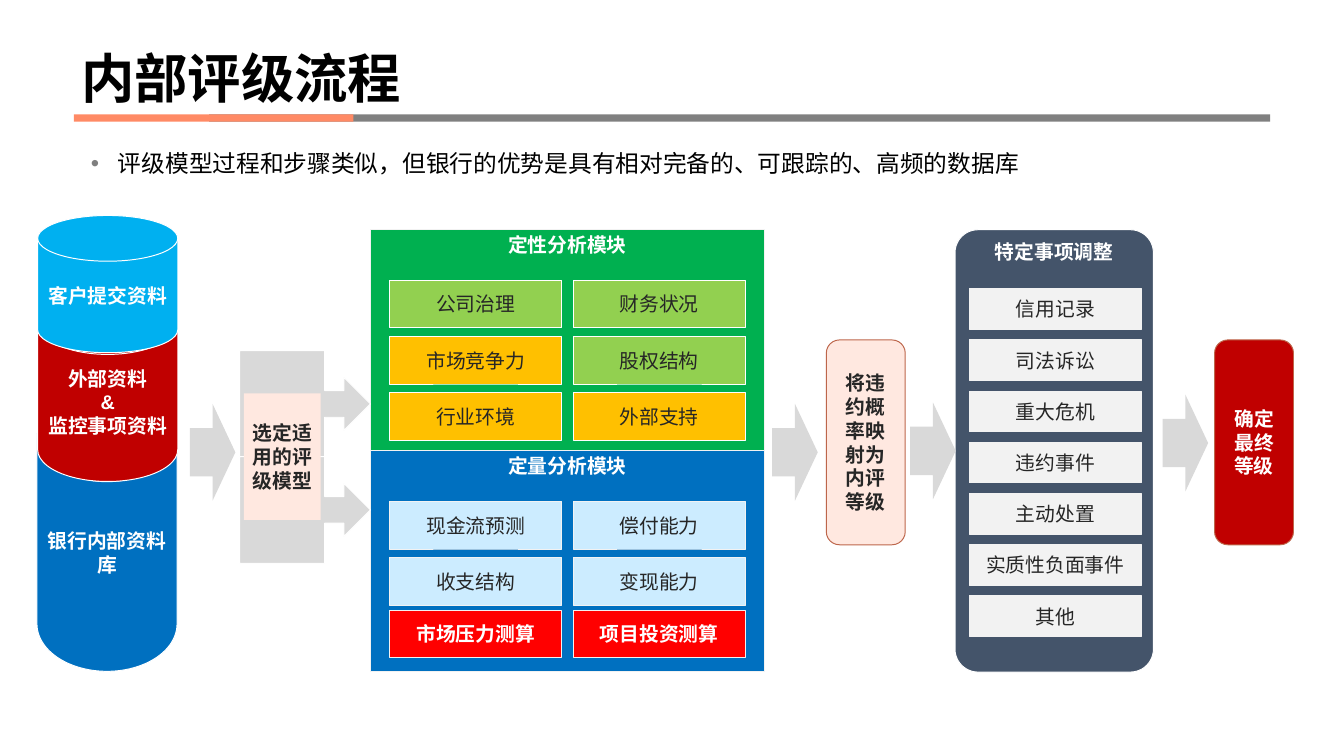
from lxml.etree import SubElement
from pptx import Presentation
from pptx.dml.color import RGBColor
from pptx.enum.shapes import MSO_SHAPE
from pptx.enum.text import MSO_ANCHOR, MSO_AUTO_SIZE, PP_ALIGN
from pptx.oxml.ns import qn
from pptx.util import Inches, Pt

COLORS = {
    "white": "FFFFFF", "black": "000000", "ink": "262626", "pale": "F2F2F2",
    "rule": "808080", "bullet": "7F7F7F", "coral": "FF8A65", "arrow": "D9D9D9",
    "blue": "0070C0", "sky": "00B0F0", "ice": "CCECFF", "dark_red": "C00000",
    "red": "FF0000", "green": "00B050", "lime": "92D050", "amber": "FFC000",
    "blush": "FFE8E0", "rust": "BD664B", "slate": "44546A",
}
CJK_FONT = "Noto Sans CJK SC"
TILE_WIDTH = 2.42


def rgb(color):
    return RGBColor.from_string(COLORS[color])


class FlowSlide:
    def __init__(self, slide):
        self.slide = slide
        self.label_font = {"size": Pt(20), "name": "Arial", "bold": True}
        self.heading_font = {"size": Pt(54), "name": CJK_FONT, "bold": True}
        self.body_font = {"size": Pt(24), "name": CJK_FONT, "bold": False}

    def set_text(self, frame, text, font, color, anchor=MSO_ANCHOR.MIDDLE,
                 align=PP_ALIGN.CENTER):
        frame_format = {"word_wrap": True, "auto_size": MSO_AUTO_SIZE.NONE,
                        "vertical_anchor": anchor}
        for key, value in frame_format.items():
            setattr(frame, key, value)
        frame.text = text
        for paragraph in frame.paragraphs:
            paragraph.alignment = align
            for run in paragraph.runs:
                for key, value in font.items():
                    setattr(run.font, key, value)
                run.font.color.rgb = rgb(color)
                SubElement(run._r.get_or_add_rPr(), qn("a:ea"), typeface=CJK_FONT)

    def title(self, text, box):
        heading = self.slide.shapes.title
        for key, value in zip(("left", "top", "width", "height"), box):
            setattr(heading, key, Inches(value))
        self.set_text(heading.text_frame, text, self.heading_font, "black",
                      MSO_ANCHOR.BOTTOM, PP_ALIGN.LEFT)
        heading.text_frame.paragraphs[0].line_spacing = 0.9

    def bullet(self, text, box):
        frame = self.slide.shapes.add_textbox(*map(Inches, box)).text_frame
        self.set_text(frame, text, self.body_font, "black",
                      MSO_ANCHOR.BOTTOM, PP_ALIGN.LEFT)
        properties = frame.paragraphs[0]._p.get_or_add_pPr()
        properties.set("marL", str(Inches(0.52)))
        properties.set("indent", str(Inches(-0.38)))
        bullet_color = SubElement(properties, qn("a:buClr"))
        SubElement(bullet_color, qn("a:srgbClr"), val=COLORS["bullet"])
        SubElement(properties, qn("a:buFont"), typeface="Arial")
        SubElement(properties, qn("a:buChar"), char="•")

    def block(self, box, fill, text="", line=None, kind=MSO_SHAPE.RECTANGLE,
              ink="white", bold=True, anchor=MSO_ANCHOR.MIDDLE):
        shape = self.slide.shapes.add_shape(kind, *map(Inches, box))
        shape.shadow.inherit = False
        shape.fill.solid()
        shape.fill.fore_color.rgb = rgb(fill)
        if line:
            shape.line.color.rgb = rgb(line)
            shape.line.width = Pt(1)
        else:
            shape.line.fill.background()
        if text:
            self.set_text(shape.text_frame, text, {**self.label_font, "bold": bold},
                          ink, anchor)
        return shape

    def disk(self, box, fill, text):
        self.block(box, fill, text, "white", MSO_SHAPE.FLOWCHART_MAGNETIC_DISK)

    def arrow(self, left, top):
        self.block((left, top, 0.64, 1.36), "arrow", kind=MSO_SHAPE.RIGHT_ARROW)

    def module(self, top, fill, text, tile_line, rows):
        """Draw a headed panel with rows of (top, ((text, fill), (text, fill)))."""
        self.block((5.21, top, 5.54, 3.11), fill, text, "pale", anchor=MSO_ANCHOR.TOP)
        for row_top, tiles in rows:
            for left, (label, tile_fill) in zip((5.48, 8.06), tiles):
                stressed = tile_fill == "red"
                self.block((left, row_top, TILE_WIDTH, 0.67), tile_fill, label,
                           tile_line, ink="white" if stressed else "ink",
                           bold=stressed)

    def adjustments(self, text, events):
        panel = self.block((13.43, 3.23, 2.79, 6.22), "slate", text, "white",
                           MSO_SHAPE.ROUNDED_RECTANGLE, anchor=MSO_ANCHOR.TOP)
        panel.adjustments[0] = 0.116
        for index, event in enumerate(events):
            self.block((13.63, 4.06 + 0.72 * index, TILE_WIDTH, 0.57), "pale",
                       event, "pale", ink="ink", bold=False)

    def stage(self, left, fill, text, ink):
        self.block((left, 4.78, 1.11, 2.88), fill, text, "rust",
                   MSO_SHAPE.ROUNDED_RECTANGLE, ink)


def main():
    deck = Presentation()
    deck.slide_width, deck.slide_height = Inches(18.9), Inches(10.63)
    flow = FlowSlide(deck.slides.add_slide(deck.slide_layouts[5]))

    flow.block((2.94, 1.61, 14.92, 0.1), "rule")
    flow.block((1.04, 1.61, 3.93, 0.1), "coral")
    flow.title("内部评级流程", (1.04, 0, 16.91, 1.59))
    flow.bullet("评级模型过程和步骤类似，但银行的优势是具有相对完备的、可跟踪的、高频的数据库",
                (1.04, 1.76, 16.91, 0.78))

    flow.disk((0.52, 5.44, 1.97, 4), "blue", "银行内部资料库")
    flow.disk((0.53, 4.09, 1.97, 2.68), "dark_red", "外部资料\n&\n监控事项资料")
    flow.disk((0.53, 3.03, 1.97, 1.93), "sky", "客户提交资料")

    flow.module(3.23, "green", "定性分析模块", "white", (
        (3.94, (("公司治理", "lime"), ("财务状况", "lime"))),
        (4.73, (("市场竞争力", "amber"), ("股权结构", "lime"))),
        (5.52, (("行业环境", "amber"), ("外部支持", "amber"))),
    ))
    flow.module(6.33, "blue", "定量分析模块", "pale", (
        (7.05, (("现金流预测", "ice"), ("偿付能力", "ice"))),
        (7.84, (("收支结构", "ice"), ("变现能力", "ice"))),
        (8.58, (("市场压力测算", "red"), ("项目投资测算", "red"))),
    ))

    for top in (4.93, 6.42):
        flow.block((3.37, top, 1.84, 1.5), "arrow", line="white",
                   kind=MSO_SHAPE.RIGHT_ARROW_CALLOUT)
    flow.block((3.43, 5.53, 1.08, 1.78), "blush", "选定适用的评级模型", ink="ink")

    flow.stage(11.62, "blush", "将违约概率映射为内评等级", "ink")
    flow.adjustments("特定事项调整", (
        "信用记录", "司法诉讼", "重大危机", "违约事件", "主动处置",
        "实质性负面事件", "其他"))
    flow.stage(17.08, "dark_red", "确定最终等级", "white")

    for left, top in ((2.67, 5.68), (10.86, 5.68), (12.8, 5.66), (16.35, 5.55)):
        flow.arrow(left, top)

    deck.save("out.pptx")


if __name__ == "__main__":
    main()
